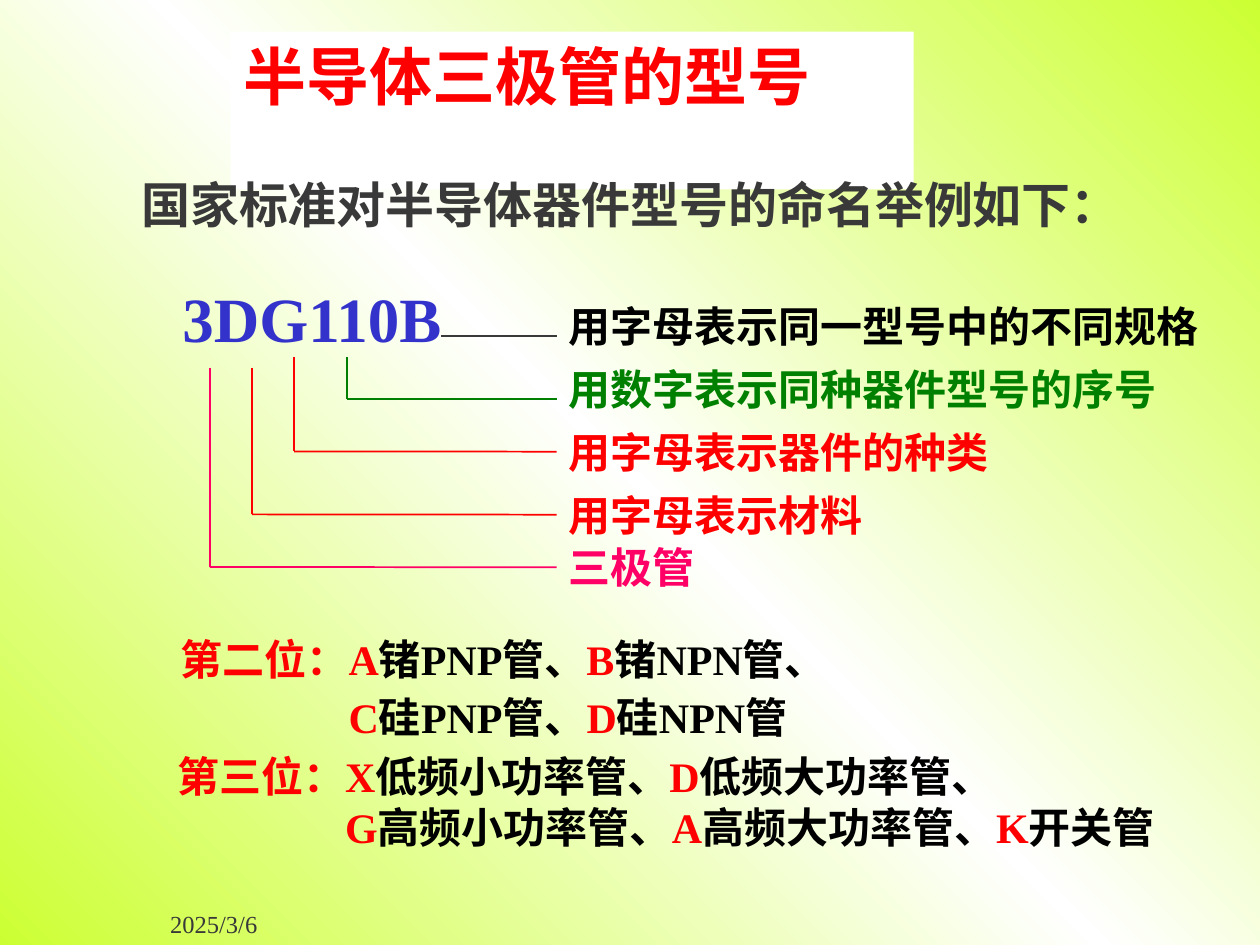
from copy import deepcopy
from pptx import Presentation
from pptx.dml.color import RGBColor as RGB
from pptx.enum.shapes import MSO_CONNECTOR as Link, MSO_SHAPE as Kind
from pptx.enum.text import MSO_ANCHOR as Anchor, PP_ALIGN as Align
from pptx.oxml.ns import qn
from pptx.oxml.xmlchemy import OxmlElement as Node
from pptx.util import Cm, Pt

HUES = {"lime": "CCFF33", "white": "FFFFFF", "grey": "393939", "red": "FF0000",
        "black": "000000", "green": "008000", "pink": "FF0066", "blue": "3333CC"}
SERIF, SANS = "Times New Roman", "Noto Sans CJK SC"


class Deck:
    """Holds the style and the current slide, and draws each kind of element."""

    def __init__(self):
        self.file = Presentation()
        self.file.slide_width, self.file.slide_height = Cm(25.4), Cm(19.05)
        self.slide = self.file.slides.add_slide(self.file.slide_layouts[6])
        self.shapes = self.slide.shapes

    def hue(self, name):
        return RGB.from_string(HUES[name])

    def ground(self, *names):
        fill = self.slide.background.fill
        fill.gradient()
        fill.gradient_angle = 45
        stops = self.slide.element.find(".//" + qn("a:gsLst"))
        stops.append(deepcopy(stops[-1]))
        for i, (stop, name) in enumerate(zip(fill.gradient_stops, names)):
            stop.position = i / (len(names) - 1)
            stop.color.rgb = self.hue(name)

    def words(self, shape, lines, size=24, face=SERIF, bold=True, wrap=True,
              anchor=Anchor.TOP, align=Align.LEFT, indent=0, gap=0):
        frame = shape.text_frame
        frame.word_wrap, frame.vertical_anchor = wrap, anchor
        style = {"size": Pt(size), "name": face, "bold": bold}
        for i, line in enumerate(lines):
            para = frame.add_paragraph() if i else frame.paragraphs[0]
            para.alignment = align
            if i:
                para.space_before = Pt(gap)
                para._p.get_or_add_pPr().set("marL", str(Cm(indent)))
            for text, name in line:
                run = para.add_run()
                run.text = text
                for key, value in style.items():
                    setattr(run.font, key, value)
                run.font.color.rgb = self.hue(name)
                east = Node("a:ea")
                east.set("typeface", SANS)
                run.font._element.find(qn("a:latin")).addnext(east)

    def text(self, box, lines, **look):
        shape = self.shapes.add_textbox(*map(Cm, box))
        self.words(shape, lines, **look)
        return shape

    def panel(self, box, name, lines, **look):
        shape = self.shapes.add_shape(Kind.RECTANGLE, *map(Cm, box))
        shape.shadow.inherit = False
        shape.fill.solid()
        shape.fill.fore_color.rgb = self.hue(name)
        shape.line.fill.background()
        self.words(shape, lines, **look)

    def line(self, ends, name):
        link = self.shapes.add_connector(Link.STRAIGHT, *map(Cm, ends))
        link.line.width = Pt(1)
        link.line.color.rgb = self.hue(name)
        link._element.spPr.append(Node("a:effectLst"))
        return link

    def label(self, text, name, top, width, x, start, y):
        tall, left = 1.27, 11.22
        shape = self.text((left, top, width, tall), [[(text, name)]], face=SANS)
        if start < y:
            self.line((x, start, x, y), name)
        rule = self.line((x, y, left, y), "grey" if name == "black" else name)
        if abs(y - top - tall / 2) < 0.02:
            rule.end_connect(shape, 1)


def main():
    deck = Deck()
    deck.ground("lime", "white", "lime")
    deck.text((3.18, 17.78, 5.28, 1.27), [[("2025/3/6", "grey")]],
              size=14, bold=False, anchor=Anchor.BOTTOM)
    deck.panel((4.65, 0.64, 13.77, 3.18), "white",
               [[("半导体三极管的型号", "red")]], size=36, face=SANS)

    deck.text((3.39, 12.65, 22.02, 2.46), [
        [("第二位：A", "red"), ("锗PNP管、", "black"),
         ("B", "red"), ("锗NPN管、", "black")],
        [("C", "red"), ("硅PNP管、", "black"),
         ("D", "red"), ("硅NPN管", "black")]], indent=3.39, gap=4.5)
    deck.text((3.32, 15.01, 22.23, 2.29), [
        [("第三位：X", "red"), ("低频小功率管、", "black"),
         ("D", "red"), ("低频大功率管、", "black")],
        [("G", "red"), ("高频小功率管、", "black"),
         ("A", "red"), ("高频大功率管、", "black"),
         ("K", "red"), ("开关管", "black")]], indent=3.39)

    for row in (
        ("用字母表示同一型号中的不同规格", "black", 5.93, 13.55, 8.89, 6.77, 6.77),
        ("用数字表示同种器件型号的序号", "green", 7.2, 13.34, 6.99, 7.2, 8.04),
        ("用字母表示器件的种类", "red", 8.47, 10.8, 5.93, 7.2, 9.1),
        ("用字母表示材料", "red", 9.74, 8.89, 5.08, 7.41, 10.37),
        ("三极管", "pink", 10.8, 4.66, 4.23, 7.41, 11.43),
    ):
        deck.label(*row)

    middle = {"wrap": False, "anchor": Anchor.MIDDLE, "align": Align.CENTER}
    deck.text((2.54, 3.39, 20.34, 1.45),
              [[("国家标准对半导体器件型号的命名举例如下：", "grey")]],
              size=28, **middle)
    deck.text((3.39, 5.5, 5.8, 1.78), [[("3DG110B", "blue")]], size=36, **middle)
    deck.file.save("out.pptx")


if __name__ == "__main__":
    main()
